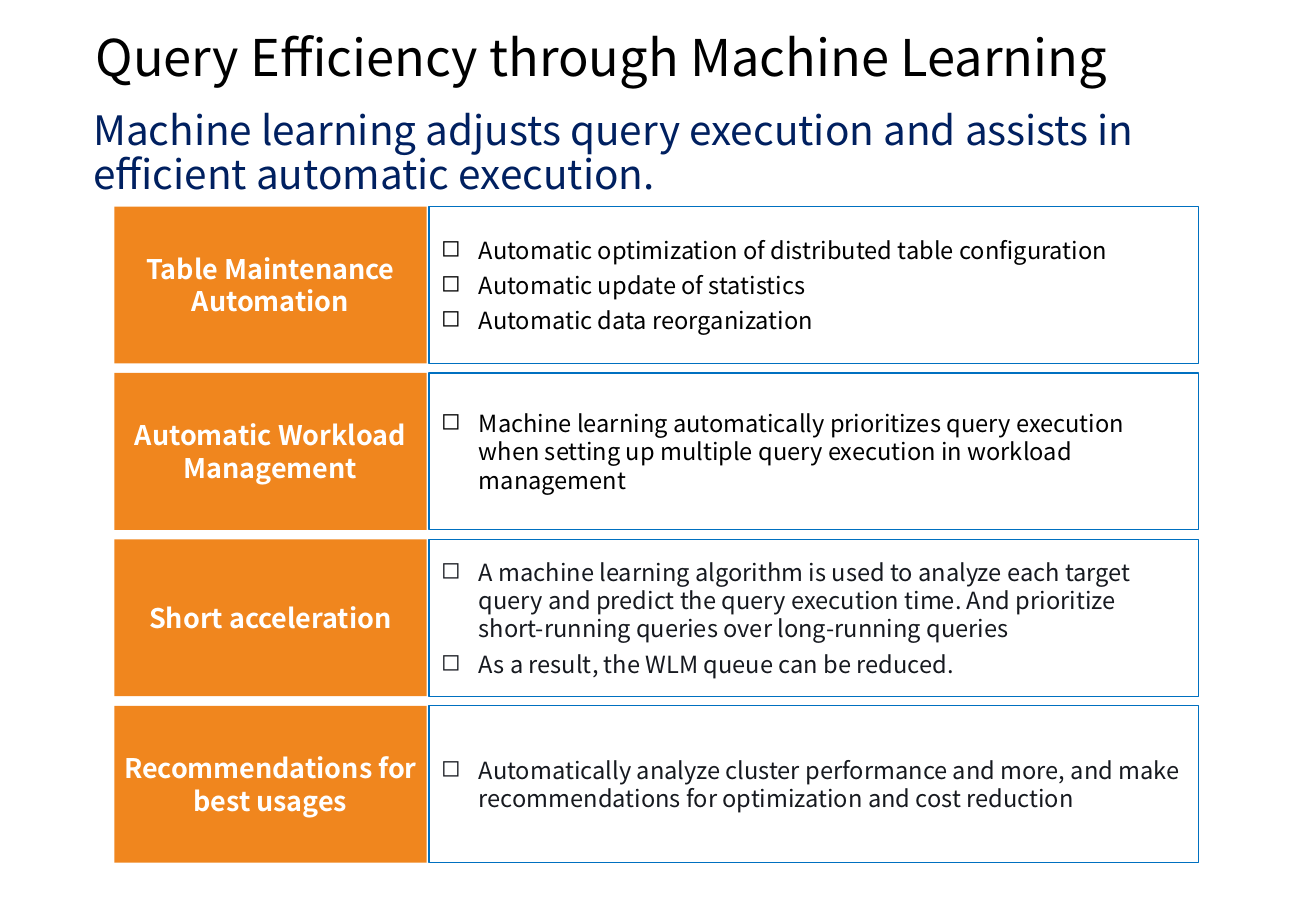
from lxml import etree
from pptx import Presentation, util as u
from pptx.dml.color import RGBColor
from pptx.enum import shapes, text
from pptx.oxml.ns import qn

FONT = "Noto Sans CJK JP"
INDENT = u.Cm(0.79)


def rgb(code):
    return RGBColor.from_string(code)


def write(shape, lines, color, frame, para, font, bullet=None):
    tf = shape.text_frame
    tf.word_wrap = True
    for key, val in frame.items():
        setattr(tf, key, val)
    for i, line in enumerate(lines):
        p = tf.add_paragraph() if i else tf.paragraphs[0]
        if bullet:
            ppr = p._p.get_or_add_pPr()
            ppr.set("marL", str(INDENT))
            ppr.set("indent", str(-INDENT))
            etree.SubElement(ppr, qn("a:buChar")).set("char", bullet)
            if i:
                p.space_before = u.Pt(4.2)
        for key, val in para.items():
            setattr(p, key, val)
        run = p.add_run()
        run.text = line
        for key, val in font.items():
            setattr(run.font, key, val)
        run.font.name = FONT
        run.font.color.rgb = rgb(color)


prs = Presentation()
prs.slide_width, prs.slide_height = u.Cm(27.51), u.Cm(19.05)
slide = prs.slides.add_slide(prs.slide_layouts[6])

# Title and lead
sides = ("margin_left", "margin_top", "margin_right", "margin_bottom")
heads = [
    ("Query Efficiency through Machine Learning",
     0.56, 24, 1.4, 30, "000000", (0.25, 0.13)),
    ("Machine learning adjusts query execution and assists in efficient automatic execution.",
     2.21, 24.61, 0.91, 24, "002060", (0.2, 0.1)),
]
for words, top, wide, high, size, color, pad in heads:
    box = slide.shapes.add_textbox(u.Cm(1.75), u.Cm(top), u.Cm(wide), u.Cm(high))
    frame = dict(zip(sides, [u.Cm(x) for x in pad * 2]))
    write(box, [words], color, frame, {"line_spacing": 0.9}, {"size": u.Pt(size)})

# Topic rows: label, text colour, points
rows = [
    (["Table Maintenance", "Automation"], "000000",
     ["Automatic optimization of distributed table configuration",
      "Automatic update of statistics",
      "Automatic data reorganization"]),
    (["Automatic Workload Management"], "000000",
     ["Machine learning automatically prioritizes query execution when setting up "
      "multiple query execution in workload management"]),
    (["Short acceleration"], "16191F",
     ["A machine learning algorithm is used to analyze each target query and predict "
      "the query execution time. And prioritize short-running queries over "
      "long-running queries",
      "As a result, the WLM queue can be reduced."]),
    (["Recommendations for best usages"], "16191F",
     ["Automatically analyze cluster performance and more, and make recommendations "
      "for optimization and cost reduction"]),
]
TOP, STEP, HIGH = 4.32, 3.48, 3.28
mid = {"vertical_anchor": text.MSO_ANCHOR.MIDDLE}
tight = mid | dict.fromkeys(sides, u.Cm(0.1))
center = {"alignment": text.PP_ALIGN.CENTER}
left = {"alignment": text.PP_ALIGN.LEFT}

for n, (label, color, points) in enumerate(rows):
    cells = []
    for x, wide, fill in ((2.39, 6.53, "F0861E"), (8.97, 16.08, "FFFFFF")):
        cell = slide.shapes.add_shape(
            shapes.MSO_SHAPE.RECTANGLE,
            u.Cm(x), u.Cm(TOP + n * STEP), u.Cm(wide), u.Cm(HIGH))
        cell.shadow.inherit = False
        cell.fill.solid()
        cell.fill.fore_color.rgb = rgb(fill)
        cells.append(cell)
    name, body = cells
    name.line.fill.background()
    body.line.color.rgb = rgb("0070C0")
    body.line.width = u.Pt(0.75)
    write(name, label, "FFFFFF", tight, center, {"size": u.Pt(16), "bold": True})
    write(body, points, color, mid, left, {"size": u.Pt(14)}, "◻")

prs.save("out.pptx")
